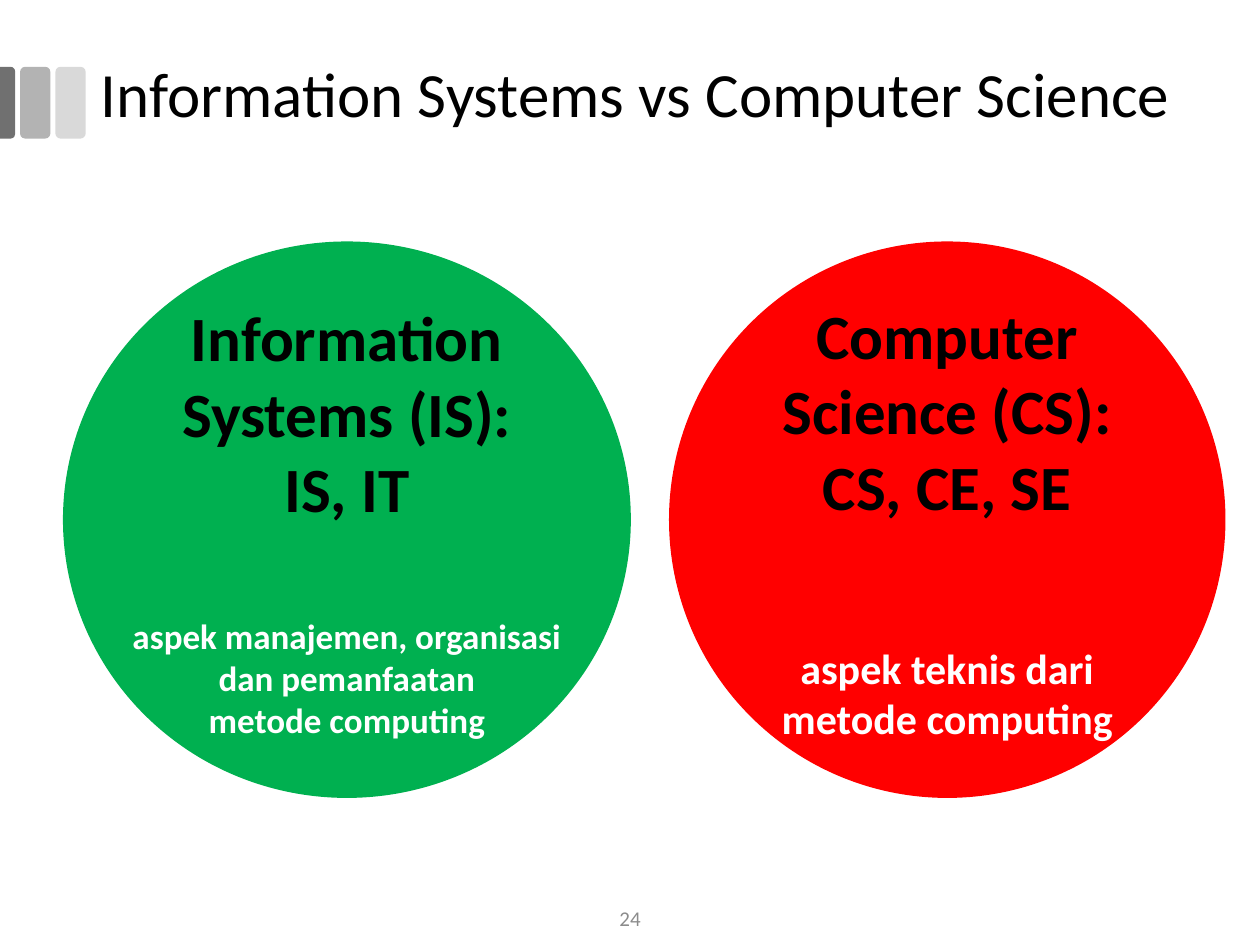
from pptx import Presentation
from pptx.dml.color import RGBColor
from pptx.enum import shapes, text
from pptx.util import Pt

BLACK = RGBColor(0x00, 0x00, 0x00)
WHITE = RGBColor(0xFF, 0xFF, 0xFF)
GREEN = RGBColor(0x00, 0xB0, 0x50)
RED = RGBColor(0xFF, 0x00, 0x00)
DARK = RGBColor(0x70, 0x70, 0x70)
MID = RGBColor(0xB3, 0xB3, 0xB3)
LIGHT = RGBColor(0xD9, 0xD9, 0xD9)
GREY = RGBColor(0x8C, 0x8C, 0x8C)
FONT = "Calibri"
SHAPE = shapes.MSO_SHAPE
ALIGN = text.PP_ALIGN


def style(p, size, color, bold=False, align=ALIGN.CENTER):
    """Align a paragraph and format its runs."""
    p.alignment = align
    for r in p.runs:
        r.font.name, r.font.size, r.font.bold = FONT, Pt(size), bold
        r.font.color.rgb = color


def add_filled(s, kind, x, y, w, h, color):
    """Add a flat shape without outline."""
    sp = s.shapes.add_shape(kind, Pt(x), Pt(y), Pt(w), Pt(h))
    sp.shadow.inherit = False
    sp.fill.solid()
    sp.fill.fore_color.rgb = color
    sp.line.fill.background()
    return sp


def add_bars(s, x, y, h):
    """Draw the three grey bars that enter from the left edge."""
    w, step, edge = 17.3, 20.2, 8.6
    for i, color in enumerate((MID, LIGHT)):
        add_filled(s, SHAPE.ROUNDED_RECTANGLE, x + 11.5 + i * step, y, w, h, color)
    sp = add_filled(s, SHAPE.ROUND_2_SAME_RECTANGLE,
                    x + (edge - h) / 2, y + (h - edge) / 2, h, edge, DARK)
    sp.adjustments[0] = 0.29
    sp.rotation = 90


def add_title(s, x, y, w, h, title):
    """Place and format the title placeholder."""
    sp = s.shapes.title
    sp.left, sp.top, sp.width, sp.height = Pt(x), Pt(y), Pt(w), Pt(h)
    tf = sp.text_frame
    tf.text = title
    tf.vertical_anchor = text.MSO_ANCHOR.MIDDLE
    p = tf.paragraphs[0]
    p.line_spacing = 0.9
    style(p, 36, BLACK, align=ALIGN.LEFT)


def add_circle(s, x, y, w, h, color, heads, notes, size, gap):
    """Draw a field's circle with its heading lines and, below a gap, its notes."""
    tf = add_filled(s, SHAPE.OVAL, x, y, w, h, color).text_frame
    tf.word_wrap = False
    tf.vertical_anchor = text.MSO_ANCHOR.MIDDLE
    tf.text = "\n".join(heads + notes)
    for i, p in enumerate(tf.paragraphs):
        if i < len(heads):
            style(p, 36, BLACK, True)
        else:
            style(p, size, WHITE, True)
    tf.paragraphs[len(heads)].space_before = Pt(gap)


def add_number(s, x, y, w, h, number):
    """Write the slide number."""
    tf = s.shapes.add_textbox(Pt(x), Pt(y), Pt(w), Pt(h)).text_frame
    tf.word_wrap = True
    tf.vertical_anchor = text.MSO_ANCHOR.MIDDLE
    tf.text = number
    style(tf.paragraphs[0], 12, GREY)


def main():
    """Build and save the slide."""
    prs = Presentation()
    prs.slide_width, prs.slide_height = Pt(720), Pt(540)
    s = prs.slides.add_slide(prs.slide_layouts[5])
    add_bars(s, 0, 38.2, 41)
    add_title(s, 50.4, 30.2, 648, 50.4, "Information Systems vs Computer Science")
    add_circle(s, 36, 138, 324.5, 318, GREEN,
               ["Information", "Systems (IS):", "IS, IT"],
               ["aspek manajemen, organisasi", "dan pemanfaatan", "metode computing"],
               20, 51)
    add_circle(s, 382.3, 138, 318, 318, RED,
               ["Computer", "Science (CS):", "CS, CE, SE"],
               ["aspek teknis dari", "metode computing"],
               24, 68)
    add_number(s, 279, 510, 162, 28.8, "24")
    prs.save("out.pptx")


if __name__ == "__main__":
    main()
